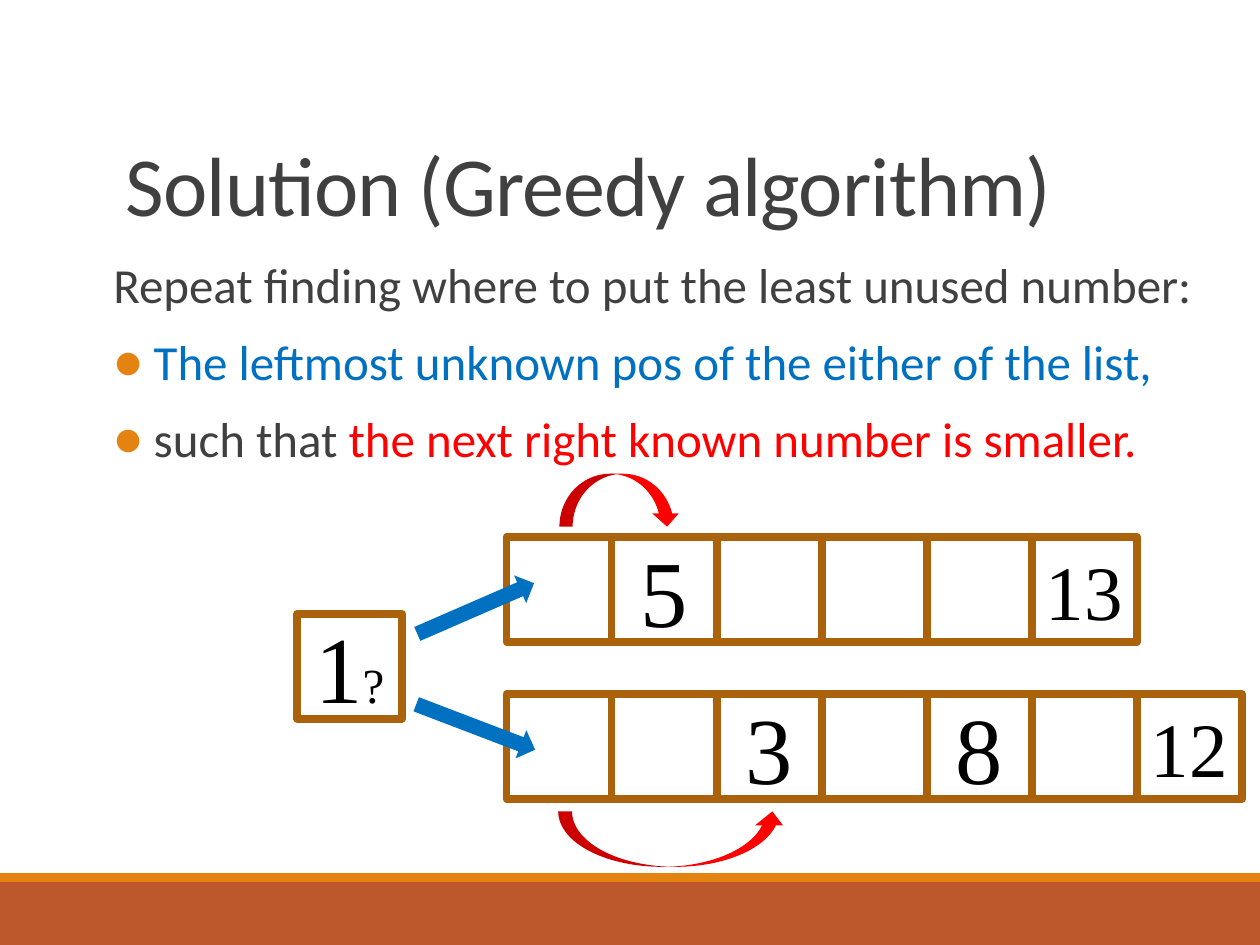
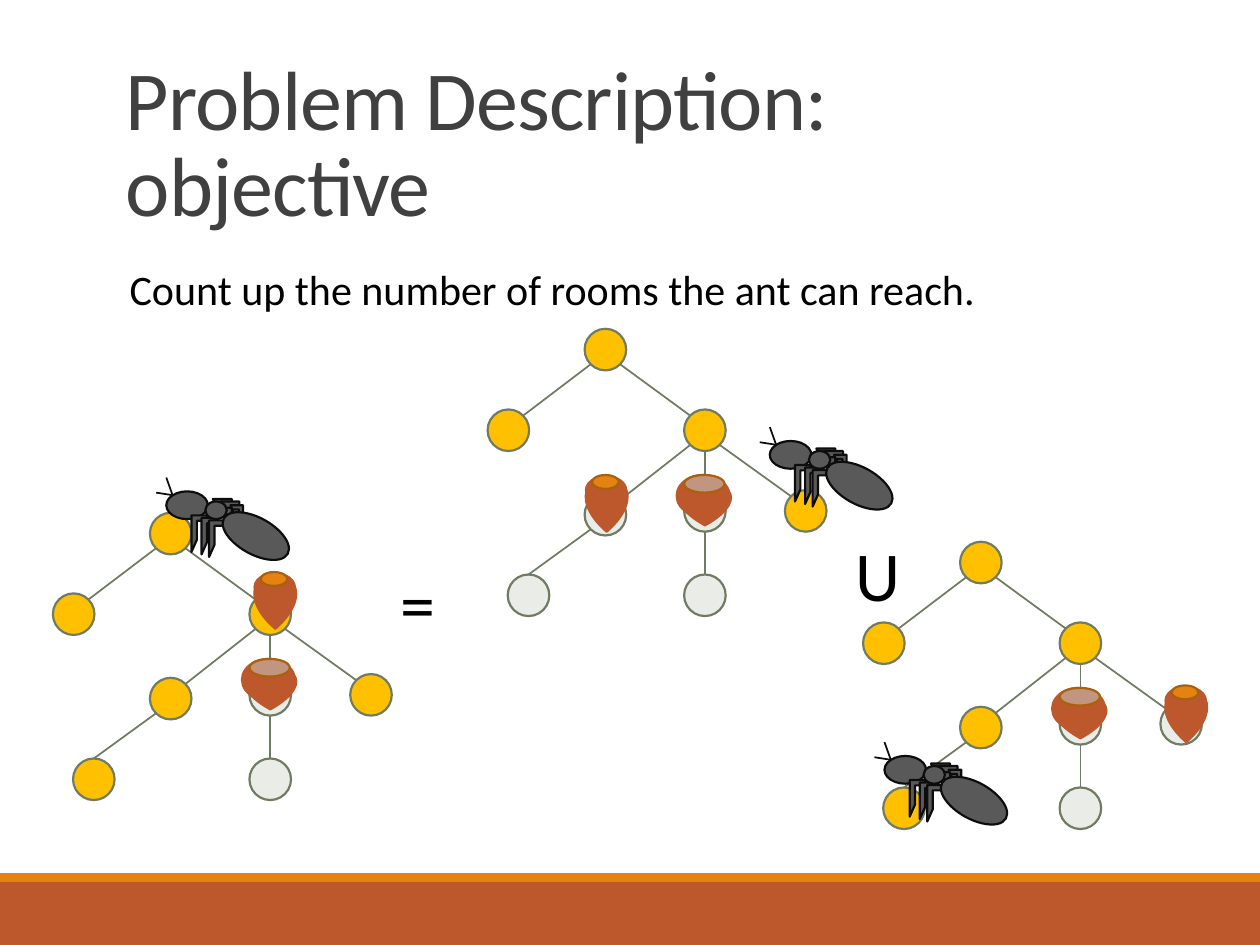
from dataclasses import dataclass
from typing import NamedTuple

from lxml.etree import SubElement
from pptx import Presentation
from pptx.dml.color import RGBColor
from pptx.enum.shapes import MSO_CONNECTOR, MSO_SHAPE
from pptx.enum.text import MSO_ANCHOR, PP_ALIGN
from pptx.oxml.ns import qn
from pptx.util import Inches, Pt

COLS, ROWS = 100, 75
STEP = Inches(10) // COLS

RUST, AMBER, BROWN, RIM = "BD582C", "E48312", "AB620D", "A9610D"
INK, BLACK, BLUE, RED = "404040", "000000", "0070C0", "FF0000"
GOLD, PALE, MOSS = "FFC000", "EAECE7", "6F7B63"
GREY, COAL, CLAY = "595959", "0D0D0D", "C29580"
SANS, SERIF = "Calibri", "Times New Roman"

RECT, OVAL, HEART = MSO_SHAPE.RECTANGLE, MSO_SHAPE.OVAL, MSO_SHAPE.HEART
LEG = MSO_SHAPE.HALF_FRAME
ARROW, CURVE = MSO_SHAPE.RIGHT_ARROW, MSO_SHAPE.CURVED_DOWN_ARROW


class Spot(NamedTuple):
    col: float
    row: float

    def shift(self, col: float, row: float) -> "Spot":
        return Spot(self.col + col, self.row + row)


class Area(NamedTuple):
    col: float
    row: float
    wide: float
    tall: float


class Piece(NamedTuple):
    text: str
    color: str
    size: float = 0


@dataclass(frozen=True)
class Part:
    kind: MSO_SHAPE
    area: Area
    fill: str = ""
    line: str = ""
    width: float = 1.25
    turn: float = 0
    flip: str = ""


@dataclass(frozen=True)
class Style:
    size: float
    font: str = SANS
    lead: float = 1
    before: float = 0
    after: float = 0
    track: int = 0
    align: PP_ALIGN = PP_ALIGN.LEFT


@dataclass(frozen=True)
class Tree:
    root: Spot
    empty: str
    ant: Spot
    tall: Spot


TITLE = Style(48, lead=0.85, track=-50)
BODY = Style(28, lead=0.9, before=12, after=2)
ORIGIN = Spot(0, 0)

BANDS = [
    Part(RECT, Area(0, 70, COLS, 5), RUST),
    Part(RECT, Area(0, 69.3, COLS, 0.7), AMBER),
]

SIDE = 8.34
TRAYS = [
    (Spot(40.2, 42.6), ["", "5", "", "", "", "13"]),
    (Spot(40.2, 55.1), ["", "", "3", "", "8", "", "12"]),
]
ARROWS = [
    Part(ARROW, Area(32.7, 47.1, 10.1, 2.4), BLUE, turn=336.5),
    Part(ARROW, Area(32.7, 56.5, 10.1, 2.4), BLUE, turn=20.9),
    Part(CURVE, Area(44.4, 37.6, 9.6, 4.2), RED),
    Part(CURVE, Area(44.3, 64.4, 18.1, 4.4), RED, flip="flipV"),
]

NODE = 3.3
NODES = {
    "root": Spot(0, 0),
    "left": Spot(-7.7, 6.4),
    "right": Spot(7.9, 6.4),
    "near": Spot(0, 13.1),
    "mid": Spot(7.9, 12.8),
    "far": Spot(15.9, 12.8),
    "deep": Spot(-6.1, 19.5),
    "low": Spot(7.9, 19.5),
}
TOP, FOOT = Spot(1.65, 0), Spot(1.65, NODE)
NW, NE, SW, SE = (Spot(x, y) for y in (0.5, 2.8) for x in (0.5, 2.8))
EDGES = [
    ("root", SW, "left", NE),
    ("root", SE, "right", NW),
    ("right", SW, "near", NE),
    ("right", FOOT, "mid", TOP),
    ("right", SE, "far", NW),
    ("near", SW, "deep", TOP),
    ("mid", FOOT, "low", TOP),
]
TREES = [
    Tree(Spot(11.9, 40.7), "mid low", Spot(12.4, 37.9), Spot(20.2, 45.4)),
    Tree(Spot(46.4, 26.1), "near mid deep low", Spot(60.3, 33.9), Spot(46.5, 37.7)),
    Tree(Spot(76.2, 43), "mid far low", Spot(69.4, 58.9), Spot(92.5, 54.4)),
]


def limb(kind: MSO_SHAPE, area: Area, turn: float = 0, flip: str = "") -> Part:
    return Part(kind, area, GREY, COAL, turn=turn, flip=flip)


ANT = [
    limb(OVAL, Area(0.8, 1.1, 3.3, 2.2)),
    *(limb(LEG, Area(x, y, 1.3, 2.9)) for x, y in [(2.8, 3), (3.6, 3.2), (4.2, 3.4)]),
    limb(LEG, Area(4.5, 1.7, 1.5, 3.1), flip="flipH"),
    limb(LEG, Area(5.1, 1.9, 1.5, 3.1), flip="flipH"),
    limb(LEG, Area(5.9, 2.2, 1, 2.4), flip="flipH"),
    limb(OVAL, Area(3.9, 1.9, 1.7, 1.4)),
    limb(OVAL, Area(5, 3.2, 5.8, 2.9), turn=29),
]
BROW, TIPS = Spot(1.3, 1.4), [Spot(0.8, 0), Spot(0, 1.2)]

TALL = [
    Part(HEART, Area(0, 0.6, 3.3, 3.9), RUST, RUST),
    Part(OVAL, Area(0, 0.1, 3.2, 2.2), RUST, RUST),
    Part(OVAL, Area(0.5, 0, 2.1, 1.1), AMBER, RIM),
]
WIDE = [
    Part(OVAL, Area(0, 0, 4.2, 3.3), RUST, RUST),
    Part(HEART, Area(0.2, 0.9, 4.1, 3.1), RUST, RUST),
    Part(OVAL, Area(0.5, 0.1, 3.2, 2.2), RUST, RUST),
    Part(OVAL, Area(0.6, 0, 3.2, 1.4), CLAY, RIM),
]


def span(count: float) -> int:
    return round(count * STEP)


def paint(target, color: str) -> None:
    target.rgb = RGBColor.from_string(color)


def draw(shapes, part: Part, base: Spot = ORIGIN):
    col, row, wide, tall = part.area
    shape = shapes.add_shape(part.kind, span(base.col + col), span(base.row + row), span(wide), span(tall))
    shape.shadow.inherit = False
    shape.rotation = part.turn
    if part.flip:
        shape._element.spPr.xfrm.set(part.flip, "1")
    if part.fill:
        shape.fill.solid()
        paint(shape.fill.fore_color, part.fill)
    else:
        shape.fill.background()
    if part.line:
        paint(shape.line.color, part.line)
        shape.line.width = Pt(part.width)
    else:
        shape.line.fill.background()
    return shape


def link(shapes, start: Spot, end: Spot, color: str) -> None:
    line = shapes.add_connector(MSO_CONNECTOR.STRAIGHT, *map(span, (*start, *end)))
    SubElement(line._element.spPr, qn("a:effectLst"))
    paint(line.line.color, color)
    line.line.width = Pt(1)


def cluster(shapes, parts: list[Part], base: Spot):
    group = shapes.add_group_shape().shapes
    for part in parts:
        draw(group, part, base)
    return group


def mark(para) -> None:
    props = para._p.get_or_add_pPr()
    props.set("marL", str(span(3.2)))
    props.set("indent", str(-span(3.2)))
    tint = SubElement(props, qn("a:buClr"))
    SubElement(tint, qn("a:srgbClr"), val=AMBER)
    SubElement(props, qn("a:buFont"), typeface=SANS)
    SubElement(props, qn("a:buChar"), char="●")


def write(para, pieces: list[Piece], style: Style, first: bool = True) -> None:
    para.alignment = style.align
    para.line_spacing = style.lead
    para.space_before = Pt(0 if first else style.before)
    para.space_after = Pt(style.after)
    para.font.name = style.font
    para.font.size = Pt(style.size)
    if style.track:
        para._p.pPr.find(qn("a:defRPr")).set("spc", str(style.track))
    same = len({piece.color for piece in pieces}) == 1
    if same:
        paint(para.font.color, pieces[0].color)
    for piece in pieces:
        run = para.add_run()
        run.text = piece.text
        if not same:
            paint(run.font.color, piece.color)
        if piece.size:
            run.font.size = Pt(piece.size)


def label(slide, area: Area, text: str, style: Style, color: str = BLACK):
    frame = slide.shapes.add_textbox(*map(span, area)).text_frame
    frame.word_wrap = True
    write(frame.paragraphs[0], [Piece(text, color)], style)
    return frame


def cell(slide, spot: Spot, pieces: list[Piece], size: float = 54) -> None:
    box = draw(slide.shapes, Part(RECT, Area(*spot, SIDE, SIDE), line=BROWN, width=4.5))
    if pieces:
        frame = box.text_frame
        frame.vertical_anchor = MSO_ANCHOR.MIDDLE
        write(frame.paragraphs[0], pieces, Style(size, SERIF, align=PP_ALIGN.CENTER))


def start(deck, title: str):
    slide = deck.slides.add_slide(deck.slide_layouts[6])
    for band in BANDS:
        draw(slide.shapes, band)
    frame = label(slide, Area(9, 3.1, 82.5, 15.9), title, TITLE, INK)
    frame.vertical_anchor = MSO_ANCHOR.BOTTOM
    return slide


def greedy(deck) -> None:
    slide = start(deck, "Solution (Greedy algorithm)")
    frame = label(slide, Area(9, 20.2, 85.9, 44), "Repeat finding where to put the least unused number:", BODY, INK)
    frame.margin_left = frame.margin_right = 0
    for pieces in [
        [Piece("The leftmost unknown pos of the either of the list,", BLUE)],
        [Piece("such that ", INK), Piece("the next right known number is smaller.", RED)],
    ]:
        para = frame.add_paragraph()
        mark(para)
        write(para, pieces, BODY, first=False)
    for spot, items in TRAYS:
        for i, item in enumerate(items):
            pieces = [Piece(item, BLACK)] if item else []
            cell(slide, spot.shift(i * SIDE, 0), pieces, 44 if len(item) > 1 else 54)
    cell(slide, Spot(23.6, 48.7), [Piece("1", BLACK), Piece("?", BLACK, 28)])
    for arrow in ARROWS:
        draw(slide.shapes, arrow)


def grow(shapes, tree: Tree) -> None:
    spots = {name: tree.root.shift(*spot) for name, spot in NODES.items()}
    for name, spot in spots.items():
        fill = PALE if name in tree.empty.split() else GOLD
        draw(shapes, Part(OVAL, Area(*spot, NODE, NODE), fill, MOSS))
    for head, out, tail, into in EDGES:
        link(shapes, spots[head].shift(*out), spots[tail].shift(*into), MOSS)
    ant = cluster(shapes, ANT, tree.ant)
    for tip in TIPS:
        link(ant, tree.ant.shift(*BROW), tree.ant.shift(*tip), COAL)
    cluster(shapes, TALL, tree.tall)
    cluster(shapes, WIDE, spots["mid"].shift(-0.6, -1.2))


def rooms(deck) -> None:
    slide = start(deck, "Problem Description: objective")
    label(slide, Area(9.3, 20.4, 84.7, 9.1), "Count up the number of rooms the ant can reach.", Style(24))
    for tree in TREES:
        grow(slide.shapes, tree)
    label(slide, Area(30.8, 44, 7, 7.7), "=", Style(40))
    label(slide, Area(66.9, 41.7, 7, 7.7), "U", Style(40))


def main() -> None:
    deck = Presentation()
    deck.slide_width, deck.slide_height = span(COLS), span(ROWS)
    greedy(deck)
    rooms(deck)
    deck.save("out.pptx")


if __name__ == "__main__":
    main()
